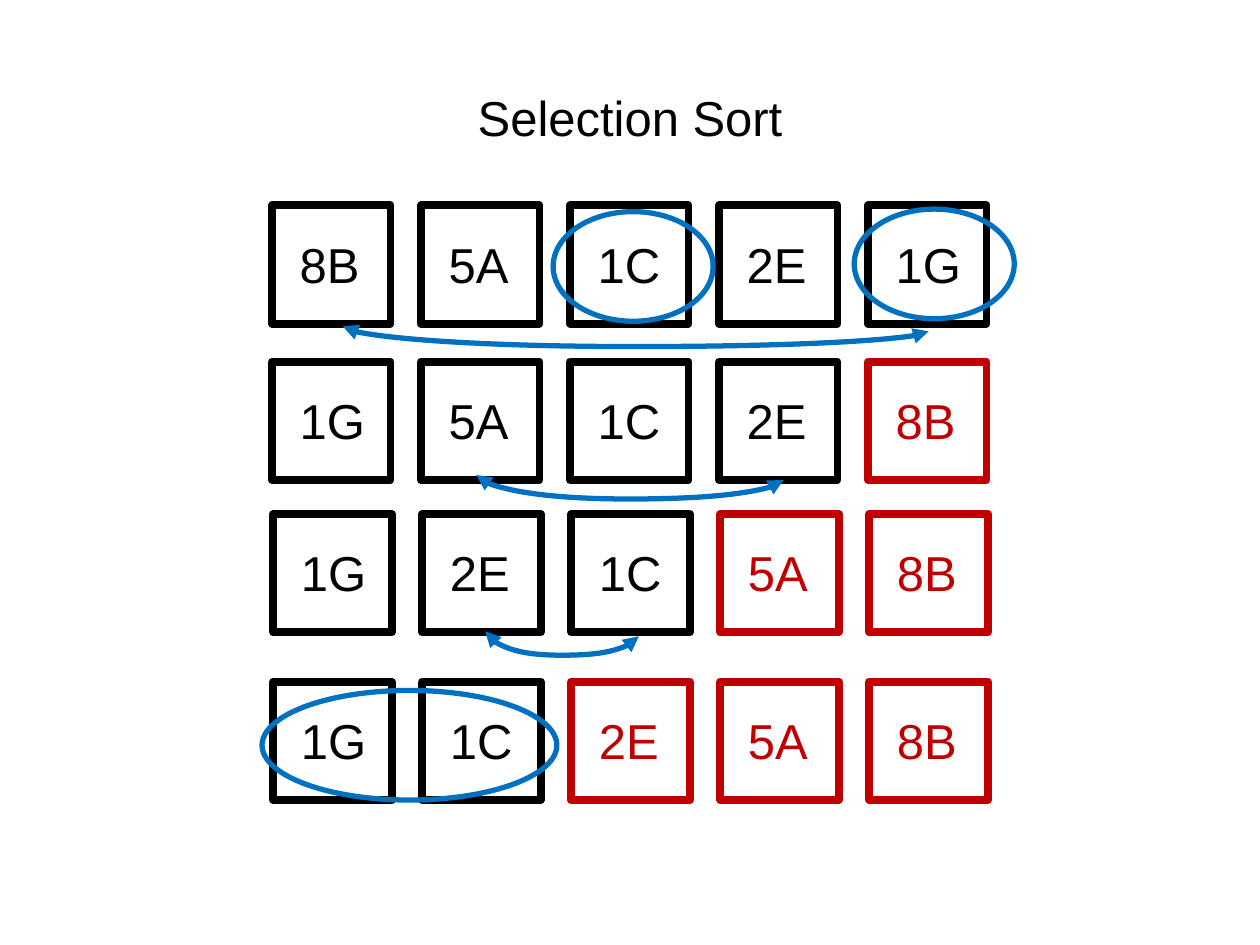
from dataclasses import dataclass

from lxml.etree import SubElement as Sub
from pptx import Presentation
from pptx.dml.color import RGBColor as RGB
from pptx.enum.shapes import MSO_CONNECTOR as Conn, MSO_SHAPE as Geo
from pptx.enum.text import MSO_ANCHOR as Anchor, MSO_AUTO_SIZE as Fit, PP_ALIGN as Align
from pptx.oxml.ns import qn
from pptx.util import Inches, Pt


@dataclass(frozen=True)
class Theme:
    ink: RGB = RGB(0x00, 0x00, 0x00)
    done: RGB = RGB(0xC0, 0x00, 0x00)
    mark: RGB = RGB(0x00, 0x70, 0xC0)
    face: str = "Arial"
    size: Pt = Pt(28)
    edge: Pt = Pt(4.5)
    thin: Pt = Pt(3)


THEME = Theme()
SIDE, STEP = 0.94, 1.1825

# Left, top, labels, number of cells still unsorted
ROWS = [
    (2.16, 1.63, "8B 5A 1C 2E 1G", 5),
    (2.16, 2.87, "1G 5A 1C 2E 8B", 4),
    (2.17, 4.08, "1G 2E 1C 5A 8B", 3),
    (2.17, 5.41, "1G 1C 2E 5A 8B", 2),
]
# Start x, start y, end x, depth of the curve
SWAPS = [(2.72, 2.59, 7.37, 0.16), (3.78, 3.77, 6.22, 0.19), (3.85, 5.01, 5.07, 0.19)]
# Left, top, width, height
RINGS = [(6.78, 1.66, 1.27, 0.87), (4.39, 1.68, 1.27, 0.87), (2.08, 5.48, 2.34, 0.87)]


def style(font, color):
    looks = {"name": THEME.face, "size": THEME.size}
    for key, value in looks.items():
        setattr(font, key, value)
    font.color.rgb = color


def outline(parts, geo, box, color, width):
    shape = parts.add_shape(geo, *map(Inches, box))
    shape.shadow.inherit = False
    shape.fill.background()
    shape.line.color.rgb = color
    shape.line.width = width


def label(parts, text, box, color):
    frame = parts.add_textbox(*map(Inches, box)).text_frame
    looks = {"text": text, "word_wrap": False, "auto_size": Fit.SHAPE_TO_FIT_TEXT}
    for key, value in looks.items():
        setattr(frame, key, value)
    style(frame.paragraphs[0].runs[0].font, color)


def heading(slide, box):
    title = slide.shapes.title
    for key, value in zip(("left", "top", "width", "height"), box):
        setattr(title, key, Inches(value))
    frame = title.text_frame
    frame.text = "Selection Sort"
    frame.vertical_anchor = Anchor.MIDDLE
    para = frame.paragraphs[0]
    para.alignment = Align.CENTER
    style(para.runs[0].font, THEME.ink)


def row(slide, left, top, names, live):
    parts = slide.shapes.add_group_shape().shapes
    cells = [(name, left + col * STEP, THEME.ink if col < live else THEME.done)
             for col, name in enumerate(names.split())]
    for _, x, color in cells:
        outline(parts, Geo.RECTANGLE, (x, top, SIDE, SIDE), color, THEME.edge)
    for name, x, color in cells:
        wide = {"C": 0.71, "G": 0.73}.get(name[-1], 0.68)
        label(parts, name, (x + 0.12, top + 0.18, wide, 0.57), color)


def swap(slide, x1, y1, x2, depth):
    drop = 0.04
    midx, midy, half = (x1 + x2) / 2, y1 + drop / 2, (x2 - x1) / 2
    # Drawn upright, then turned a quarter so that the curve hangs down
    ends = (midx + drop / 2, midy - half, midx - drop / 2, midy + half)
    arrow = slide.shapes.add_connector(Conn.CURVE, *map(Inches, ends))
    arrow.line.color.rgb = THEME.mark
    arrow.line.width = THEME.thin
    props = arrow.line._get_or_add_ln()
    for tip in ("a:headEnd", "a:tailEnd"):
        Sub(props, qn(tip), type="triangle")
    body = arrow._element.spPr
    body.find(qn("a:xfrm")).set("rot", "16200000")
    guides = body.find(qn("a:prstGeom")).find(qn("a:avLst"))
    Sub(guides, qn("a:gd"), name="adj1", fmla=f"val {round(depth / drop * 100000)}")
    Sub(body, qn("a:effectLst"))


def rings(slide, boxes):
    parts = slide.shapes.add_group_shape().shapes
    for box in boxes:
        outline(parts, Geo.OVAL, box, THEME.mark, THEME.thin)


def main():
    deck = Presentation()
    deck.slide_width, deck.slide_height = Inches(10), Inches(7.5)
    slide = deck.slides.add_slide(deck.slide_layouts[5])
    heading(slide, (0.5, 0.3, 9, 1.25))
    # Passes of the sort, with the swaps between them
    for item in ROWS:
        row(slide, *item)
    for item in SWAPS:
        swap(slide, *item)
    # Equal keys to watch
    rings(slide, RINGS)
    deck.save("out.pptx")


if __name__ == "__main__":
    main()
